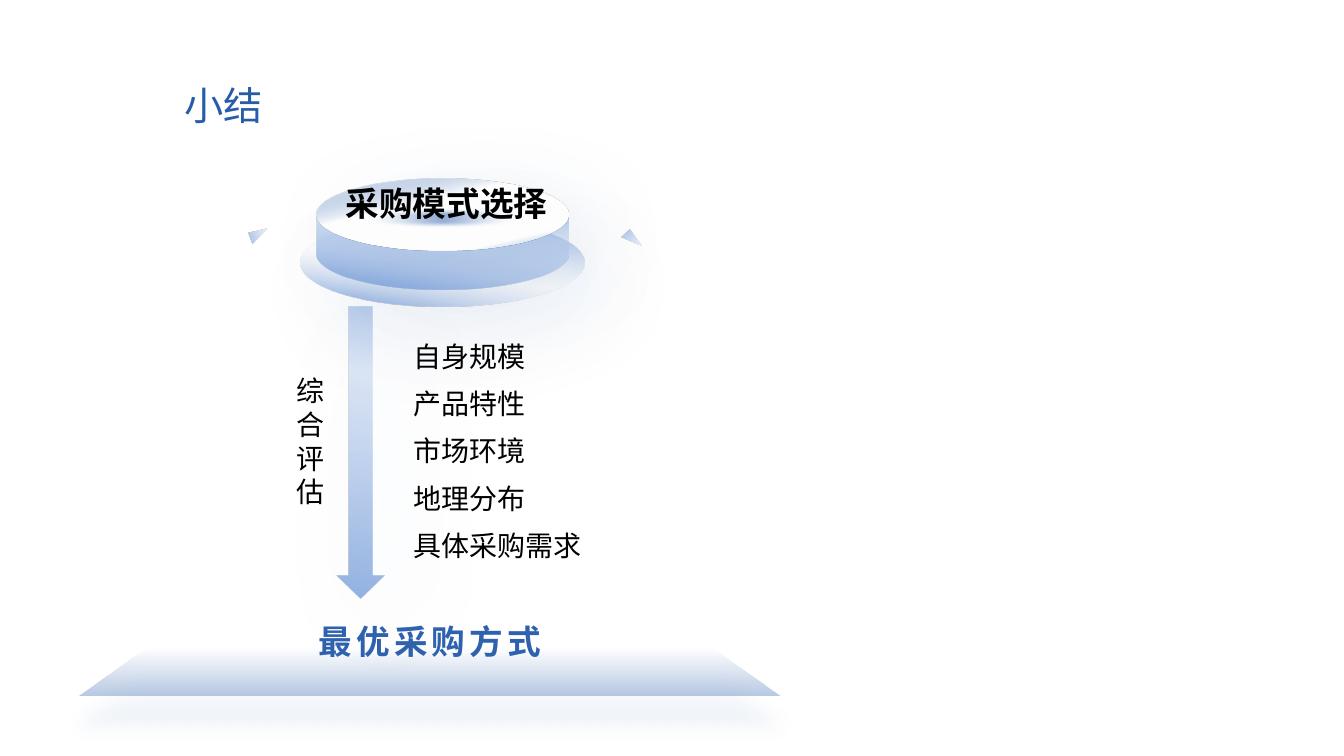
from math import cos, sin, tan, radians
from lxml import etree
from pptx import Presentation
from pptx.dml.color import RGBColor
from pptx.enum.shapes import MSO_SHAPE as SHAPE
from pptx.enum.text import MSO_ANCHOR as ANCHOR, PP_ALIGN as ALIGN
from pptx.oxml import parse_xml
from pptx.oxml.ns import nsdecls, qn
from pptx.util import Pt

BLUE = "2F62AE"
JP, SC = "Noto Sans CJK JP", "Noto Sans CJK SC"
GLASS = [(0, "497ECE", 60), (77, "BBCFED", 50), (100, "729BD9", 50)]
HALO = (10, 71, 25, 45)  # opacity, blur, distance, direction


def paint(s, stops, angle=None, shadow=None):
    """Solid fill for one stop, else a gradient (circular without an angle); no line."""
    s.line.fill.background()
    s.fill.background()
    tag = "gradFill" if len(stops) > 1 else "solidFill"
    fill = parse_xml(f'<a:{tag} {nsdecls("a")}/>')
    holder = etree.SubElement(fill, qn("a:gsLst")) if len(stops) > 1 else fill
    for pos, color, alpha in stops:
        gs = holder
        if len(stops) > 1:
            gs = etree.SubElement(holder, qn("a:gs"), pos=str(pos * 1000))
        clr = etree.SubElement(gs, qn("a:srgbClr"), val=color)
        etree.SubElement(clr, qn("a:alpha"), val=str(alpha * 1000))
    if angle is not None:
        etree.SubElement(fill, qn("a:lin"), ang=str(angle * 60000), scaled="0")
    elif len(stops) > 1:
        circle = etree.SubElement(fill, qn("a:path"), path="circle")
        etree.SubElement(circle, qn("a:fillToRect"), dict.fromkeys("ltrb", "50000"))
    spPr = s._element.spPr
    spPr.replace(spPr.find(qn("a:noFill")), fill)
    s.shadow.inherit = False
    if shadow:
        alpha, blur, dist, direction = shadow
        outer = etree.SubElement(
            spPr.find(qn("a:effectLst")), qn("a:outerShdw"), blurRad=str(Pt(blur)),
            dist=str(Pt(dist)), dir=str(direction * 60000), algn="ctr", rotWithShape="0")
        clr = etree.SubElement(outer, qn("a:srgbClr"), val=BLUE)
        etree.SubElement(clr, qn("a:alpha"), val=str(alpha * 1000))


def add_text(box, lines, size, color="000000", font=JP, bold=False, align=ALIGN.LEFT,
             spacing=None, before=0, anchor=ANCHOR.TOP):
    tb = slide.shapes.add_textbox(*map(Pt, box))
    tf = tb.text_frame
    tf.word_wrap = True
    tf.vertical_anchor = anchor
    for i, line in enumerate(lines):
        p = tf.paragraphs[0] if i == 0 else tf.add_paragraph()
        r = p.add_run()
        r.text = line
        p.alignment = align
        if spacing:
            p.line_spacing = Pt(spacing)
        if i and before:
            p.space_before = Pt(before)
        p.font.size, p.font.bold, p.font.name = Pt(size), bold, font
        p.font.color.rgb = RGBColor.from_string(color)
        etree.SubElement(r._r.get_or_add_rPr(), qn("a:ea"), typeface=font)
    return tb


prs = Presentation()
prs.slide_width, prs.slide_height = Pt(960), Pt(540)
slide = prs.slides.add_slide(prs.slide_layouts[6])
shapes = slide.shapes

# Title and side label
add_text((124.6, 51.8, 260, 46), ["小结"], 28, "285CA9", SC, anchor=ANCHOR.MIDDLE)
add_text((204.8, 263.5, 28.8, 82.8), ["综合评估"], 20, spacing=24)

# Base plate under the disc
s = shapes.add_shape(SHAPE.OVAL, Pt(214.6), Pt(156), Pt(202.7), Pt(63.2))
paint(s, [(4, "769EDA", 100), (45, "FAFAFA", 25), (100, "769EDA", 100)], 280, HALO)

# Disc side: the overlap of both rims, then the front wall, each made of two arcs
CX, RX, RY, TOP_Y, LOW_Y = 316.2, 90, 25.6, 153.4, 181.4
lens = [(TOP_Y, RY, (33, 90, 147)), (LOW_Y, -RY, (147, 90, 33))]
wall = [(TOP_Y, RY, (0, 90, 180)), (LOW_Y, RY, (180, 90, 0))]
for arcs, stops, angle in ((lens, [(0, "D1DFF3", 44)], None), (wall, GLASS, 280)):
    points = []
    for cy, ry, angles in arcs:
        a, b, c = map(radians, angles)
        unit = [(cos(a), sin(a))]
        for t, u in ((a, b), (b, c)):
            k = 4 / 3 * tan((u - t) / 4)
            unit += [(cos(t) - k * sin(t), sin(t) + k * cos(t)),
                     (cos(u) + k * sin(u), sin(u) - k * cos(u)), (cos(u), sin(u))]
        points += [(Pt(CX + RX * x), Pt(cy + ry * y)) for x, y in unit]
    fb = shapes.build_freeform(*points[0])
    fb.add_line_segments(points[1:], close=True)
    s = fb.convert_to_shape()
    # Turn each run of three points into one Bézier curve
    outline = s._element.spPr.find(".//" + qn("a:path"))
    segments = outline.findall(qn("a:lnTo"))
    for i in (0, 3, 7, 10):
        curve = parse_xml(f'<a:cubicBezTo {nsdecls("a")}/>')
        segments[i].addprevious(curve)
        for segment in segments[i:i + 3]:
            curve.append(segment[0])
            outline.remove(segment)
    paint(s, stops, angle, HALO)

# Disc top and its soft inner glow
s = shapes.add_shape(SHAPE.OVAL, Pt(226.2), Pt(127.6), Pt(180), Pt(51.4))
paint(s, [(0, BLUE, 0), (37, "FFFFFF", 100), (81, "FFFFFF", 100), (100, "769EDA", 100)], 77, HALO)
s = shapes.add_shape(SHAPE.OVAL, Pt(240.6), Pt(149), Pt(151.2), Pt(13.7))
paint(s, [(0, BLUE, 53), (25, BLUE, 31), (66, "FFFFFF", 19)])
etree.SubElement(s._element.spPr.find(qn("a:effectLst")), qn("a:softEdge"), rad=str(Pt(2.5)))

# Small shards on both sides
for x, y, turn, adj, flip in ((181.4, 160.6, 68, 0.292, False), (447.5, 164.9, 318, 0.83, True)):
    s = shapes.add_shape(SHAPE.ISOSCELES_TRIANGLE, Pt(x), Pt(y), Pt(7.9), Pt(13.7))
    s.rotation = turn
    s.adjustments[0] = adj
    if flip:
        s._element.spPr.xfrm.set("flipV", "1")
    paint(s, [(1, "A4BFE6", 100), (86, "E8EFF9", 73)], 270)

add_text((227.5, 127.4, 182.9, 36), ["采购模式选择"], 24, bold=True, align=ALIGN.CENTER,
         spacing=28.8)

# Arrow down to the platform
s = shapes.add_shape(SHAPE.DOWN_ARROW, Pt(240.5), Pt(219), Pt(33.8), Pt(208.4))
paint(s, GLASS, 280, HALO)
s = shapes.add_shape(SHAPE.TRAPEZOID, Pt(56.2), Pt(463), Pt(501.1), Pt(33.8))
s.adjustments[0] = 1.424
paint(s, [(0, BLUE, 0), (100, BLUE, 35)], 90, (25, 12, 21, 90))

# Conclusion
tb = add_text((117.4, 446, 379.4, 23.8), ["最优采购方式"], 24, BLUE, bold=True,
              align=ALIGN.CENTER, anchor=ANCHOR.MIDDLE)
tf = tb.text_frame
tf.margin_left = tf.margin_right = tf.margin_top = tf.margin_bottom = 0
tf.paragraphs[0].runs[0]._r.get_or_add_rPr().set("spc", "300")

# Factors to weigh
factors = ["自身规模", "产品特性", "市场环境", "地理分布", "具体采购需求"]
add_text((288, 234, 230.4, 172.8), factors, 20, align=ALIGN.JUSTIFY, spacing=28.8, before=5)

prs.save("out.pptx")
